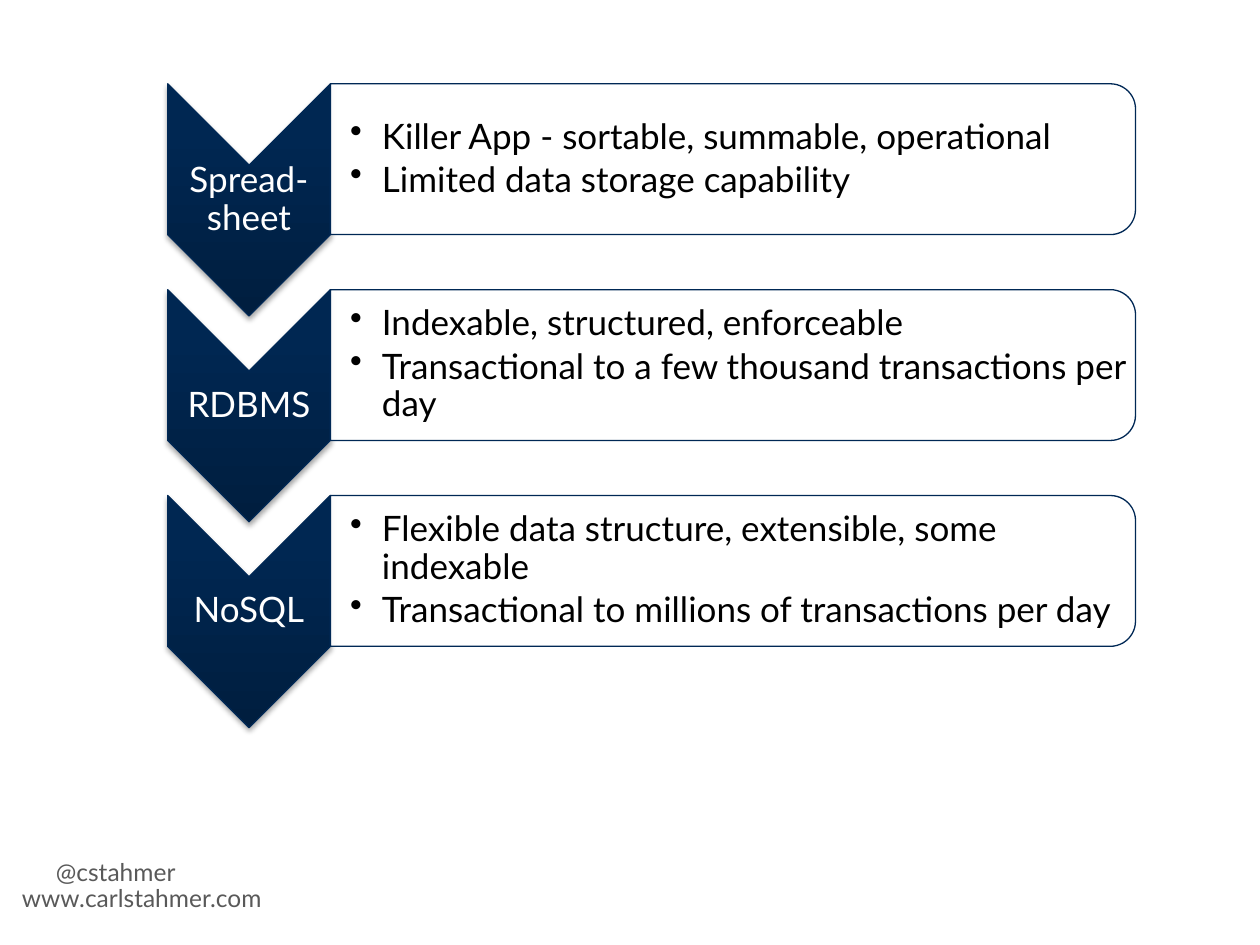
from lxml import etree
from pptx import Presentation
from pptx.dml.color import RGBColor
from pptx.enum.shapes import MSO_SHAPE
from pptx.enum.text import MSO_ANCHOR, PP_ALIGN
from pptx.oxml import parse_xml
from pptx.oxml.ns import qn
from pptx.util import Cm, Pt

CHEVRON, PANEL = MSO_SHAPE.CHEVRON, MSO_SHAPE.ROUND_2_SAME_RECTANGLE
MIDDLE, TOP = MSO_ANCHOR.MIDDLE, MSO_ANCHOR.TOP
CENTER, LEFT = PP_ALIGN.CENTER, PP_ALIGN.LEFT
NAMESPACE = 'xmlns:a="http://schemas.openxmlformats.org/drawingml/2006/main"'
FONT, NAVY, WHITE, BLACK, GREY = "Lato", "002855", "FFFFFF", "000000", "595959"
GRADIENT = ((0, "001E3F"), (80, "002752"), (100, "002753"))
ROW_TOP, ROW_PITCH = 1.69, 4.15
TIGHT = {"margin_left": Cm(0.03), "margin_right": Cm(0.03),
         "margin_top": Cm(0.03), "margin_bottom": Cm(0.03),
         "vertical_anchor": MIDDLE}
LABEL = {"alignment": CENTER, "line_spacing": 0.9, "space_after": Pt(7)}
BULLET = {"alignment": LEFT, "line_spacing": 0.9, "space_after": Pt(3), "level": 1}
FOOTER = {"alignment": CENTER, "space_before": Pt(2.8)}
ROWS = (
    ("Spread-sheet", ("Killer App - sortable, summable, operational",
                      "Limited data storage capability")),
    ("RDBMS", ("Indexable, structured, enforceable",
               "Transactional to a few thousand transactions per day")),
    ("NoSQL", ("Flexible data structure, extensible, some indexable",
               "Transactional to millions of transactions per day")),
)
CONTACTS = (
    ("@cstahmer", (0.43, 17.15, 3.81, 1.27)),
    ("www.carlstahmer.com", (-0.2, 17.68, 6.12, 1.04)),
)


def color(value):
    """Return the colour for a hex string."""
    return RGBColor.from_string(value)


def apply_format(target, values):
    """Set every attribute in the dict of format values."""
    for name, value in values.items():
        setattr(target, name, value)


def add_turned_shape(page, kind, left, top, width, height):
    """Add an outlined shape turned by 90 degrees that covers the given area."""
    shape = page.shapes.add_shape(
        kind, Cm(left + (width - height) / 2), Cm(top + (height - width) / 2),
        Cm(height), Cm(width))
    shape.rotation = 90
    shape.shadow.inherit = False
    shape.line.color.rgb = color(NAVY)
    shape.line.width = Pt(0.75)
    return shape


def add_chevron(page, top):
    """Add a downward chevron with a gradient and a soft shadow."""
    shape = add_turned_shape(page, CHEVRON, 3.38, top, 3.28, 4.68)
    stops = "".join(f'<a:gs pos="{place * 1000}"><a:srgbClr val="{value}"/></a:gs>'
                    for place, value in GRADIENT)
    gradient = parse_xml(
        f'<a:gradFill {NAMESPACE} rotWithShape="0"><a:gsLst>{stops}</a:gsLst>'
        '<a:lin ang="16200000" scaled="0"/></a:gradFill>')
    properties = shape._element.spPr
    properties.find(qn("a:prstGeom")).addnext(gradient)
    properties.find(qn("a:effectLst")).append(parse_xml(
        f'<a:outerShdw {NAMESPACE} blurRad="40000" dist="23000" dir="5400000" '
        'rotWithShape="0"><a:srgbClr val="000000"><a:alpha val="35000"/>'
        '</a:srgbClr></a:outerShdw>'))


def add_panel(page, top):
    """Add a slightly transparent panel with rounded right corners."""
    shape = add_turned_shape(page, PANEL, 6.66, top, 16.23, 3.04)
    shape.fill.solid()
    shape.fill.fore_color.rgb = color(WHITE)
    tint = shape._element.spPr.find(qn("a:solidFill")).find(qn("a:srgbClr"))
    etree.SubElement(tint, qn("a:alpha"), val="90000")


def add_text(page, place, lines, size, ink, frame_format, para_format):
    """Add a text box with one paragraph per line and return its paragraphs."""
    box = page.shapes.add_textbox(*map(Cm, place))
    frame = box.text_frame
    apply_format(frame, {"word_wrap": True, **frame_format})
    frame.text = "\n".join(lines)
    for para in frame.paragraphs:
        apply_format(para, para_format)
        for span in para.runs:
            apply_format(span.font, {"name": FONT, "size": Pt(size)})
            span.font.color.rgb = color(ink)
    return frame.paragraphs


def add_bullets(page, top, lines):
    """Add the bulleted text of a panel."""
    paragraphs = add_text(page, (6.66, top + 0.15, 16.08, 2.74), lines, 20, BLACK,
                          {**TIGHT, "margin_left": Cm(0.4)}, BULLET)
    for para in paragraphs:
        properties = para._p.get_or_add_pPr()
        properties.set("marL", str(Cm(0.64)))
        properties.set("indent", str(-Cm(0.64)))
        etree.SubElement(properties, qn("a:buChar"), char="•")


def add_row(page, top, label, lines):
    """Add one chevron with its label, panel and bullets."""
    add_chevron(page, top)
    add_text(page, (3.38, top + 1.64, 3.28, 1.4), [label], 20, WHITE, TIGHT, LABEL)
    add_panel(page, top)
    add_bullets(page, top, lines)


def main():
    """Build and save the deck."""
    deck = Presentation()
    apply_format(deck, {"slide_width": Cm(25.4), "slide_height": Cm(19.05)})
    page = deck.slides.add_slide(deck.slide_layouts[6])
    for contact, place in CONTACTS:
        add_text(page, place, [contact], 14, GREY, {"vertical_anchor": TOP}, FOOTER)
    for index, (label, lines) in enumerate(ROWS):
        add_row(page, ROW_TOP + index * ROW_PITCH, label, lines)
    deck.save("out.pptx")


if __name__ == "__main__":
    main()
